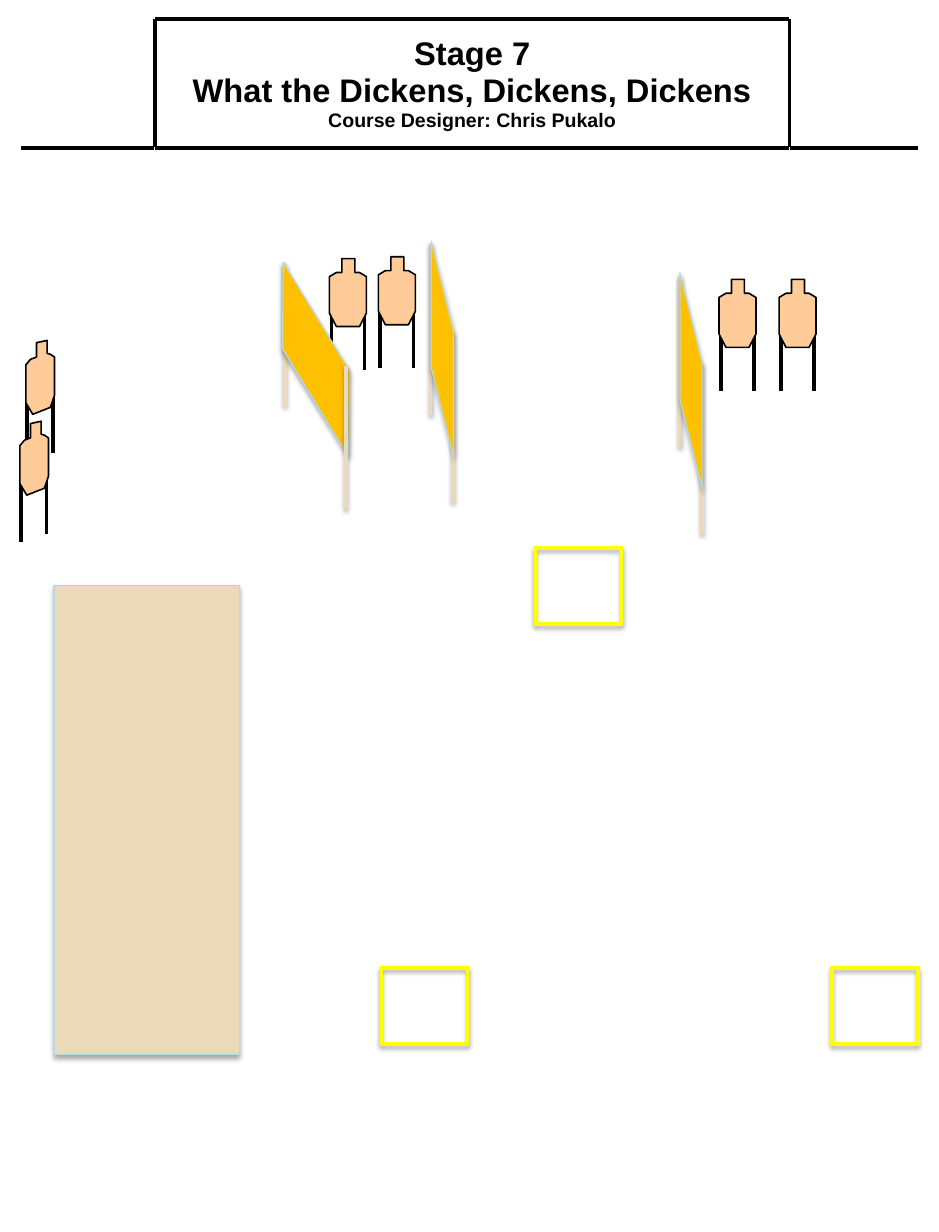
from dataclasses import dataclass
from typing import NamedTuple, Optional

from lxml import etree
from pptx import Presentation
from pptx import util as u
from pptx.dml.color import RGBColor
from pptx.enum import shapes, text
from pptx.oxml.ns import qn


class Shadow(NamedTuple):
    blur: float
    distance: float
    opacity: int


@dataclass(frozen=True)
class Theme:
    font: str = "Arial"
    heading: int = 20
    credit: int = 12
    ink: str = "000000"
    paper: str = "FFFFFF"
    cardboard: str = "FFCC99"
    sand: str = "EBDAB9"
    panel: str = "FFC000"
    edge: str = "B5DADD"
    box: str = "FFFF00"
    rule: float = 2.15
    leg: float = 2.25
    post: float = 2
    outline: float = 1
    hairline: float = 0.75
    post_shadow: Shadow = Shadow(3.1, 1.6, 38)
    shape_shadow: Shadow = Shadow(3.1, 1.8, 35)


class Line(NamedTuple):
    x1: float
    y1: float
    x2: float
    y2: float


class Box(NamedTuple):
    x: float
    y: float
    w: float
    h: float


class TargetStyle(NamedTuple):
    outline: tuple
    legs: tuple


class Target(NamedTuple):
    x: float
    y: float
    style: TargetStyle


class Wall(NamedTuple):
    back: Line
    front: Line
    panel: Box
    rotation: float
    slant: float
    flipped: bool = False


THEME = Theme()

FACING = TargetStyle(
    ((0.27, 0), (0.55, 0), (0.55, 0.3), (0.65, 0.3), (0.8, 0.39), (0.8, 1.18),
     (0.65, 1.47), (0.15, 1.47), (0, 1.18), (0, 0.39), (0.15, 0.3), (0.27, 0.3)),
    (Line(0.04, 1.09, 0.04, 2.41), Line(0.76, 1.09, 0.76, 2.41)),
)
ANGLED = TargetStyle(
    ((0.23, 0.05), (0.46, 0), (0.46, 0.28), (0.53, 0.3), (0.62, 0.36), (0.62, 1.19),
     (0.53, 1.45), (0.15, 1.6), (0, 1.35), (0, 0.53), (0.1, 0.41), (0.23, 0.36)),
    (Line(0.02, 1.3, 0.02, 2.62), Line(0.58, 1.12, 0.58, 2.44)),
)

TITLE_BOX = Box(3.35, 0.41, 13.74, 2.77)
TITLE_LINES = (
    ("Stage 7", THEME.heading),
    ("What the Dickens, Dickens, Dickens", THEME.heading),
    ("Course Designer: Chris Pukalo", THEME.credit),
)
HEADER_RULES = (
    Line(3.35, 0.41, 17.07, 0.41),
    Line(0.46, 3.2, 3.33, 3.2),
    Line(3.35, 3.2, 17.07, 3.2),
    Line(17.09, 3.2, 19.86, 3.2),
    Line(3.35, 0.41, 3.35, 3.18),
    Line(17.09, 0.41, 17.09, 3.18),
)
RIGHT_WALL = Wall(Line(14.71, 5.97, 14.71, 9.68), Line(15.19, 7.87, 15.19, 11.56),
                  Box(12.62, 8, 4.67, 0.48), 270, 4.03)
CENTER_WALL = Wall(Line(9.32, 5.28, 9.32, 8.99), Line(9.8, 7.19, 9.8, 10.87),
                   Box(7.24, 7.32, 4.67, 0.48), 270, 4.03)
LEFT_WALL = Wall(Line(6.17, 5.69, 6.17, 8.79), Line(7.49, 7.92, 7.49, 11.02),
                 Box(4.67, 7.29, 4.34, 0.99), 58.6, 1.61, True)
FACING_TARGETS = (
    Target(8.19, 5.56, FACING),
    Target(16.86, 6.05, FACING),
    Target(15.56, 6.05, FACING),
    Target(7.13, 5.6, FACING),
)
ANGLED_TARGETS = (Target(0.56, 7.37, ANGLED), Target(0.43, 9.12, ANGLED))
BARRICADE = Box(1.17, 12.67, 4.01, 10.16)
SHOOTING_BOXES = tuple(Box(x, y, 1.91, 1.7)
                       for x, y in ((11.56, 11.84), (8.23, 20.93), (17.98, 20.93)))


def color(value: str) -> RGBColor:
    return RGBColor.from_string(value)


def set_effects(sp, shadow: Optional[Shadow] = None) -> None:
    effects = etree.SubElement(sp.element.spPr, qn("a:effectLst"))
    if shadow:
        outer = etree.SubElement(
            effects, qn("a:outerShdw"), blurRad=str(u.Pt(shadow.blur)),
            dist=str(u.Pt(shadow.distance)), dir="5400000", rotWithShape="0")
        tint = etree.SubElement(outer, qn("a:srgbClr"), val=THEME.ink)
        etree.SubElement(tint, qn("a:alpha"), val=str(shadow.opacity * 1000))


def paint(sp, fill: str, line: str, width: float, shadow: Optional[Shadow] = None) -> None:
    sp.fill.solid()
    sp.fill.fore_color.rgb = color(fill)
    sp.line.color.rgb = color(line)
    sp.line.width = u.Pt(width)
    set_effects(sp, shadow)


def draw_line(s, line: Line, stroke: str, width: float,
              shadow: Optional[Shadow] = None) -> None:
    sp = s.shapes.add_connector(shapes.MSO_CONNECTOR.STRAIGHT, *map(u.Cm, line))
    sp.line.color.rgb = color(stroke)
    sp.line.width = u.Pt(width)
    set_effects(sp, shadow)


def draw_shape(s, kind, box: Box, fill: str, edge: str, adjustment: Optional[float] = None):
    sp = s.shapes.add_shape(kind, *map(u.Cm, box))
    if adjustment is not None:
        sp.adjustments[0] = adjustment
    paint(sp, fill, edge, THEME.hairline, THEME.shape_shadow)
    return sp


def draw_title(s) -> None:
    sp = s.shapes.title
    sp.left, sp.top, sp.width, sp.height = map(u.Cm, TITLE_BOX)
    sp.fill.solid()
    sp.fill.fore_color.rgb = color(THEME.paper)
    tf = sp.text_frame
    tf.word_wrap = True
    tf.auto_size = text.MSO_AUTO_SIZE.NONE
    tf.vertical_anchor = text.MSO_ANCHOR.MIDDLE
    tf.margin_left = tf.margin_right = tf.margin_bottom = u.Cm(0.13)
    tf.margin_top = u.Cm(0.18)
    for i, (words, size) in enumerate(TITLE_LINES):
        p = tf.add_paragraph() if i else tf.paragraphs[0]
        p.text = words
        p.alignment = text.PP_ALIGN.CENTER
        p.line_spacing = 0.93
        p.font.name = THEME.font
        p.font.size = u.Pt(size)
        p.font.bold = True
        p.font.color.rgb = color(THEME.ink)


def draw_wall(s, wall: Wall) -> None:
    draw_line(s, wall.back, THEME.sand, THEME.post, THEME.post_shadow)
    if not wall.flipped:
        draw_line(s, wall.front, THEME.sand, THEME.post, THEME.post_shadow)
    sp = draw_shape(s, shapes.MSO_SHAPE.PARALLELOGRAM, wall.panel,
                    THEME.panel, THEME.edge, wall.slant)
    sp.rotation = wall.rotation
    if wall.flipped:
        sp.element.spPr.find(qn("a:xfrm")).set("flipH", "1")
        draw_line(s, wall.front, THEME.sand, THEME.post, THEME.post_shadow)


def draw_target(s, target: Target) -> None:
    x, y, style = target
    for leg in style.legs:
        draw_line(s, Line(x + leg.x1, y + leg.y1, x + leg.x2, y + leg.y2),
                  THEME.ink, THEME.leg)
    points = [(u.Cm(x + dx), u.Cm(y + dy)) for dx, dy in style.outline]
    builder = s.shapes.build_freeform(*points[0])
    builder.add_line_segments(points[1:], close=True)
    paint(builder.convert_to_shape(), THEME.cardboard, THEME.ink, THEME.outline)


def main() -> None:
    prs = Presentation()
    prs.slide_width, prs.slide_height = u.Cm(20.32), u.Cm(26.67)
    s = prs.slides.add_slide(prs.slide_layouts[5])
    draw_title(s)
    for rule in HEADER_RULES:
        draw_line(s, rule, THEME.ink, THEME.rule)
    draw_wall(s, RIGHT_WALL)
    draw_shape(s, shapes.MSO_SHAPE.RECTANGLE, BARRICADE, THEME.sand, THEME.edge)
    for target in FACING_TARGETS:
        draw_target(s, target)
    draw_wall(s, CENTER_WALL)
    for target in ANGLED_TARGETS:
        draw_target(s, target)
    draw_wall(s, LEFT_WALL)
    for box in SHOOTING_BOXES:
        draw_shape(s, shapes.MSO_SHAPE.FRAME, box, THEME.box, THEME.box, 0.03)
    prs.save("out.pptx")


if __name__ == "__main__":
    main()
